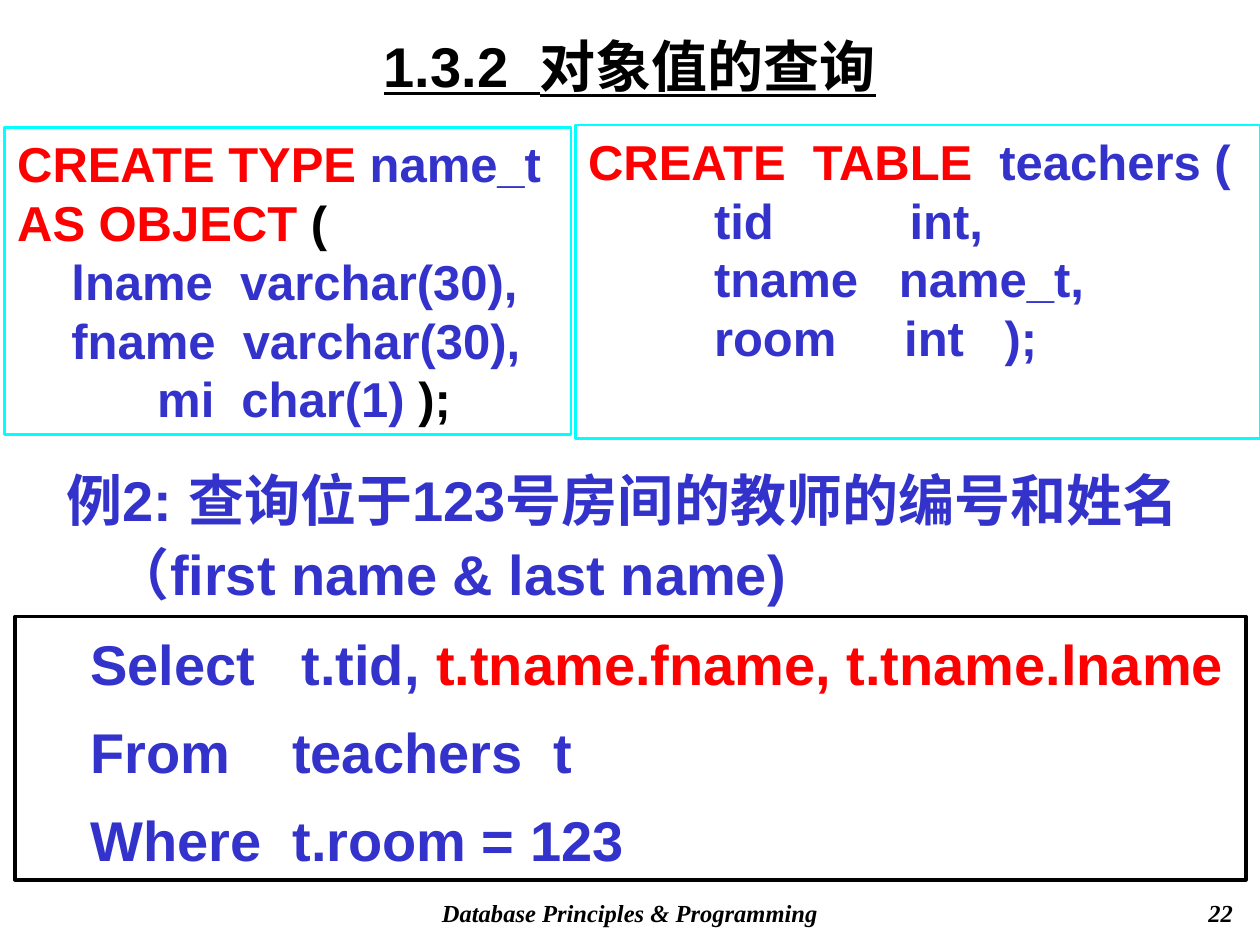
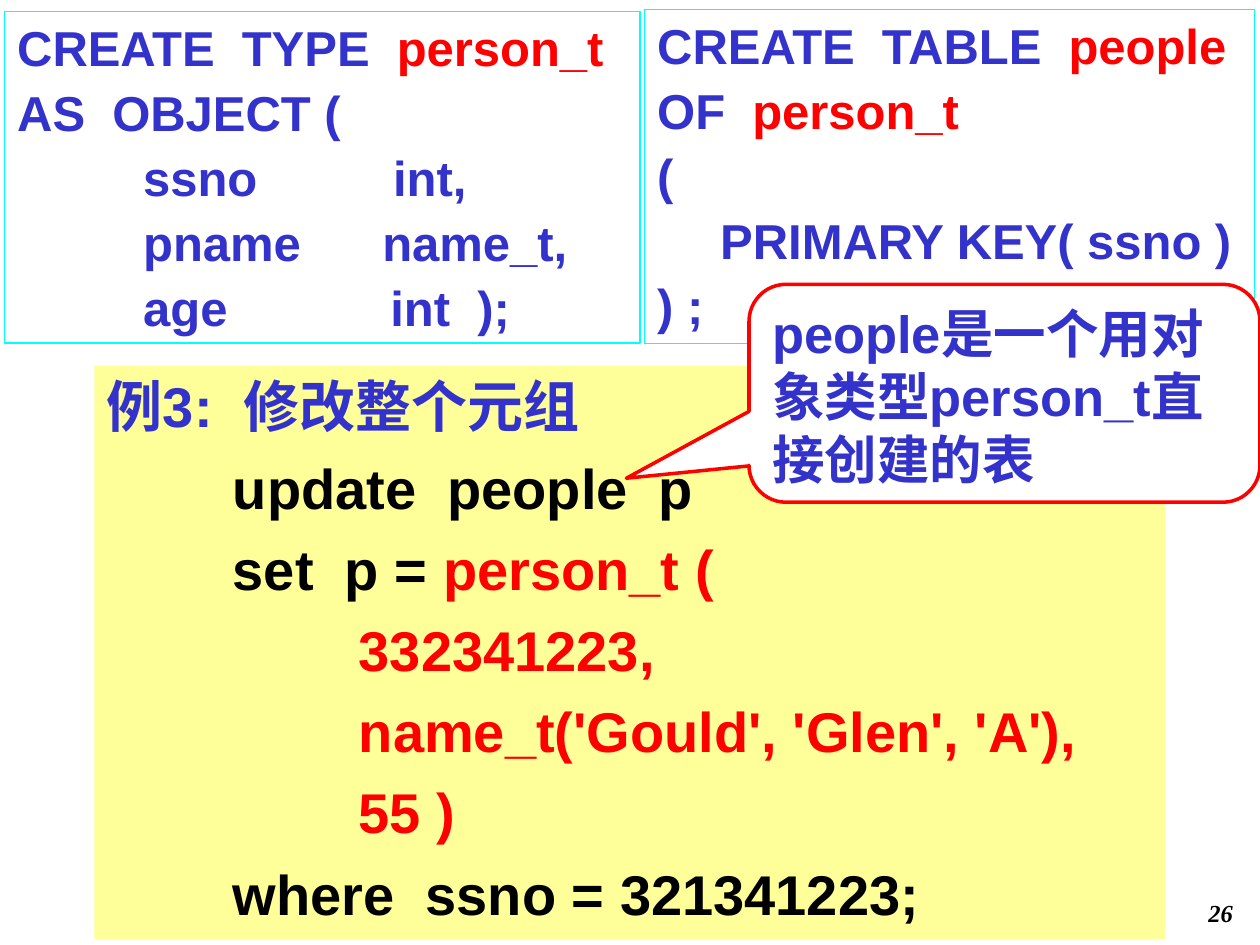
from pptx import Presentation
from pptx.dml.color import RGBColor
from pptx.enum import shapes, text
from pptx.util import Pt

BLACK = RGBColor(0x00, 0x00, 0x00)
WHITE = RGBColor(0xFF, 0xFF, 0xFF)
BLUE = RGBColor(0x33, 0x33, 0xCC)
RED = RGBColor(0xFF, 0x00, 0x00)
CYAN = RGBColor(0x00, 0xFF, 0xFF)
YELLOW = RGBColor(0xFF, 0xFF, 0x99)

FLUSH, HANGING, SUBLINE = (0, 0), (27, -27), (58.5, -22.5)
COLUMN, CLAUSE, VALUE, MIDDLE_NAME = (72, 0), (90, -18), (162, -18), (35, 14)

CODE = {"size": Pt(28), "name": "Arial", "bold": True}
BODY = {**CODE, "size": Pt(32)}
TITLE = {**BODY, "underline": True}
REMARK = {**CODE, "size": Pt(30)}
FOOTER = {"size": Pt(14), "name": "Times New Roman", "bold": True, "italic": True}


def set_all(target, values):
    """Set every attribute named in a dict of format values."""
    for name, value in values.items():
        setattr(target, name, value)


def write(frame, lines, font, before=0, spacing=None, align=text.PP_ALIGN.LEFT,
          anchor=text.MSO_ANCHOR.TOP, inset=3.6):
    """Fill a frame with lines, each an indent followed by (wording, colour) runs."""
    set_all(frame, {"word_wrap": True, "auto_size": text.MSO_AUTO_SIZE.NONE,
                    "vertical_anchor": anchor,
                    "margin_left": Pt(7.2), "margin_right": Pt(7.2),
                    "margin_top": Pt(inset), "margin_bottom": Pt(inset)})
    for index, ((margin, first), *runs) in enumerate(lines):
        paragraph = frame.add_paragraph() if index else frame.paragraphs[0]
        set_all(paragraph, {"alignment": align, "line_spacing": spacing,
                            "space_before": Pt(before if index else 0)})
        properties = paragraph._p.get_or_add_pPr()
        properties.set("marL", str(Pt(margin)))
        properties.set("indent", str(Pt(first)))
        for wording, colour in runs:
            run = paragraph.add_run()
            run.text = wording
            set_all(run.font, font)
            run.font.color.rgb = colour


def label(slide, box, lines, font, **layout):
    """Place unframed text in a box."""
    area = slide.shapes.add_textbox(*map(Pt, box))
    write(area.text_frame, lines, font, **layout)


def panel(slide, box, lines, font, fill=WHITE, edge=None, weight=1.5,
          kind=shapes.MSO_SHAPE.RECTANGLE, **layout):
    """Place text in a filled shape with an optional outline and return the shape."""
    area = slide.shapes.add_shape(kind, *map(Pt, box))
    area.shadow.inherit = False
    area.fill.solid()
    area.fill.fore_color.rgb = fill
    if edge is None:
        area.line.fill.background()
    else:
        area.line.color.rgb = edge
        area.line.width = Pt(weight)
    write(area.text_frame, lines, font, **layout)
    return area


def footer(slide, number, course=None):
    """Place the page number and, if given, the course name."""
    top, height = 509.75, 24
    if course:
        label(slide, (198, top, 324, height), [(FLUSH, (course, BLACK))], FOOTER,
              align=text.PP_ALIGN.CENTER)
    label(slide, (561.6, top, 150, height), [(FLUSH, (number, BLACK))], FOOTER,
          align=text.PP_ALIGN.RIGHT)


def remark(slide, box, wording):
    """Place a rounded callout that points down to the left."""
    bubble = panel(slide, box, [(FLUSH, (wording, BLUE))], REMARK, edge=RED, weight=2,
                   kind=shapes.MSO_SHAPE.ROUNDED_RECTANGULAR_CALLOUT)
    for index, value in enumerate((-0.74, 0.39, 0.17)):
        bubble.adjustments[index] = value


def object_query_slide(slide):
    """Build the slide on querying object values."""
    footer(slide, "22", "Database Principles & Programming")
    label(slide, (54, 13, 612, 48), [(FLUSH, ("1.3.2  对象值的查询", BLACK))], TITLE,
          align=text.PP_ALIGN.CENTER, anchor=text.MSO_ANCHOR.MIDDLE, inset=0)
    label(slide, (31, 258.5, 671, 79),
          [(HANGING, ("例2: 查询位于123号房间的教师的编号和姓名（first name & last name)", BLUE))],
          BODY, spacing=1.1)
    panel(slide, (8.5, 352.25, 703.5, 150.5), [
        (SUBLINE, ("Select   t.tid, ", BLUE), ("t.tname.fname, t.tname.lname", RED)),
        (SUBLINE, ("From    teachers  t", BLUE)),
        (SUBLINE, ("Where  t.room = 123", BLUE)),
    ], BODY, edge=BLACK, weight=2, before=8, spacing=1.1)
    panel(slide, (2.75, 72.75, 323.5, 175.5), [
        (FLUSH, ("CREATE TYPE ", RED), ("name_t", BLUE)),
        (FLUSH, ("AS OBJECT ", RED), ("(", BLACK)),
        (FLUSH, ("    lname  varchar(30),", BLUE)),
        (FLUSH, ("    fname  varchar(30),", BLUE)),
        (MIDDLE_NAME, ("    mi  char(1) ", BLUE), (");", BLACK)),
    ], CODE, edge=CYAN)
    panel(slide, (329, 71.5, 391, 179), [
        (FLUSH, ("CREATE  TABLE", RED), ("  teachers (", BLUE)),
        (COLUMN, ("tid          int,", BLUE)),
        (COLUMN, ("tname   name_t,", BLUE)),
        (COLUMN, ("room     int   );", BLUE)),
    ], CODE, edge=CYAN)


def tuple_update_slide(slide):
    """Build the slide on updating a whole tuple."""
    footer(slide, "26")
    panel(slide, (54, 209, 612, 327.5), [
        (HANGING, ("例3:  修改整个元组", BLUE)),
        (CLAUSE, ("update  people  p", BLACK)),
        (CLAUSE, ("set  p = ", BLACK), ("person_t (", RED)),
        (VALUE, ("332341223,", RED)),
        (VALUE, ("name_t('Gould', 'Glen', 'A'),", RED)),
        (VALUE, ("55 )", RED)),
        (CLAUSE, ("where  ssno = 321341223;", BLACK)),
    ], BODY, fill=YELLOW, before=8)
    definition = {"edge": CYAN, "weight": 0.75, "before": 3.5}
    panel(slide, (2.75, 6.75, 363, 189.25), [
        (FLUSH, ("CREATE  TYPE  ", BLUE), ("person_t", RED)),
        (FLUSH, ("AS  OBJECT (", BLUE)),
        (COLUMN, ("ssno          int,", BLUE)),
        (COLUMN, ("pname      name_t,", BLUE)),
        (COLUMN, ("age            int  );", BLUE)),
    ], CODE, **definition)
    panel(slide, (368.5, 5.5, 348.5, 190.75), [
        (HANGING, ("CREATE  TABLE  ", BLUE), ("people", RED)),
        (HANGING, ("OF  ", BLUE), ("person_t", RED)),
        (HANGING, ("(", BLUE)),
        (SUBLINE, ("PRIMARY KEY( ssno )", BLUE)),
        (HANGING, (") ;", BLUE)),
    ], CODE, **definition)
    remark(slide, (428, 162.5, 292, 124.5), "people是一个用对象类型person_t直接创建的表")


def main():
    """Build and save the presentation."""
    deck = Presentation()
    set_all(deck, {"slide_width": Pt(720), "slide_height": Pt(540)})
    for build in (object_query_slide, tuple_update_slide):
        build(deck.slides.add_slide(deck.slide_layouts[6]))
    deck.save("out.pptx")


if __name__ == "__main__":
    main()
